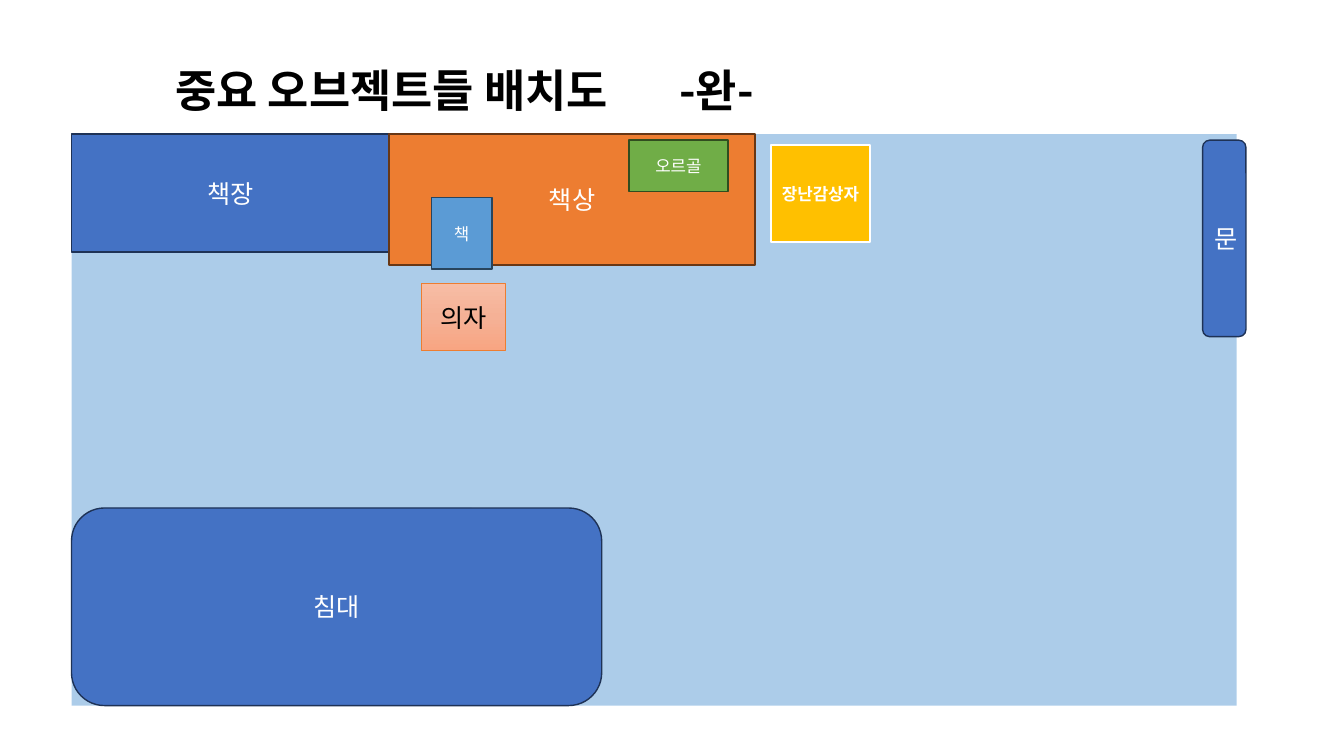
from copy import deepcopy
from dataclasses import dataclass

from lxml.etree import SubElement
from pptx import Presentation
from pptx.dml.color import RGBColor
from pptx.enum.shapes import MSO_SHAPE
from pptx.enum.text import MSO_ANCHOR, PP_ALIGN
from pptx.oxml.ns import qn
from pptx.util import Pt


@dataclass(frozen=True)
class Theme:
    font: str = "Noto Sans CJK KR"
    black: str = "000000"
    white: str = "FFFFFF"
    blue: str = "4472C4"
    navy: str = "1E3256"
    orange: str = "ED7D31"
    brown: str = "683715"
    green: str = "70AD47"
    forest: str = "314C1F"
    sky: str = "5B9BD5"
    slate: str = "28445D"
    gold: str = "FFC000"
    peach: tuple = ((0, "F7BDA5"), (0.5, "F5B196"), (1, "F8A582"))
    title_size: float = 32
    label_size: float = 18
    small_size: float = 12


class FloorPlan:
    """Draws the parts of a room plan on one slide in one theme."""

    def __init__(self, page, theme):
        self.page = page
        self.theme = theme

    def label(self, box, text, size, color, bold=False, **paragraph_format):
        frame = box.text_frame
        frame_format = {"word_wrap": True, "vertical_anchor": MSO_ANCHOR.MIDDLE}
        para = frame.paragraphs[0]
        span = para.add_run()
        span.text = text
        font_format = {"name": self.theme.font, "size": Pt(size), "bold": bold}
        for target, values in (
            (frame, frame_format),
            (para, paragraph_format),
            (span.font, font_format),
        ):
            for name, value in values.items():
                setattr(target, name, value)
        span.font.color.rgb = RGBColor.from_string(color)
        latin = span.font._element.find(qn("a:latin"))
        east_asian = deepcopy(latin)
        east_asian.tag = qn("a:ea")
        latin.addnext(east_asian)
        return para

    def title(self, text, frame, tab):
        box = self.page.shapes.add_textbox(*map(Pt, frame))
        para = self.label(
            box, text, self.theme.title_size, self.theme.black, True, line_spacing=0.9
        )
        tabs = SubElement(para._p.get_or_add_pPr(), qn("a:tabLst"))
        SubElement(tabs, qn("a:tab"), pos=str(Pt(tab)), algn="l")

    def block(self, frame, fill, line=None, weight=1, kind=MSO_SHAPE.RECTANGLE):
        box = self.page.shapes.add_shape(kind, *map(Pt, frame))
        box.shadow.inherit = False
        if isinstance(fill, tuple):
            self.gradient(box, fill)
        else:
            box.fill.solid()
            box.fill.fore_color.rgb = RGBColor.from_string(fill)
        if line:
            box.line.color.rgb = RGBColor.from_string(line)
            box.line.width = Pt(weight)
        else:
            box.line.fill.background()
        return box

    def gradient(self, box, stops):
        box.fill.gradient()
        box.fill.gradient_angle = 270
        stop_list = box._element.spPr.find(qn("a:gradFill")).find(qn("a:gsLst"))
        while len(stop_list) < len(stops):
            stop_list.append(deepcopy(stop_list[0]))
        for stop, (position, color) in zip(box.fill.gradient_stops, stops):
            stop.position = position
            stop.color.rgb = RGBColor.from_string(color)

    def room(self, frame, color, opacity):
        box = self.block(frame, color)
        shade = box._element.spPr.find(qn("a:solidFill"))[0]
        SubElement(shade, qn("a:alpha"), val=str(opacity * 1000))

    def item(self, text, frame, fill, line, size=None, color=None, bold=False, **look):
        box = self.block(frame, fill, line, **look)
        self.label(
            box,
            text,
            size or self.theme.label_size,
            color or self.theme.white,
            bold,
            alignment=PP_ALIGN.CENTER,
        )


def main():
    deck = Presentation()
    deck.slide_width, deck.slide_height = Pt(960), Pt(540)
    theme = Theme()
    plan = FloorPlan(deck.slides.add_slide(deck.slide_layouts[6]), theme)
    left, top, width, height = 51.1, 95.8, 832.3, 408.2
    shelf_width, bed_height = 226.8, 141.1
    desk_left, bed_top = left + shelf_width, top + height - bed_height
    small = theme.small_size
    rounded = MSO_SHAPE.ROUNDED_RECTANGLE

    plan.title("중요 오브젝트들 배치도\t-완-", (118.1, 36, 691.2, 61.2), 360)
    plan.room((left, top, width, height), theme.sky, 50)
    plan.item("책장", (left, top, shelf_width, 84.2), theme.blue, theme.navy)
    plan.item("책상", (desk_left, top, 261.4, 93.6), theme.orange, theme.brown)
    plan.item("오르골", (449.3, 100.1, 70.6, 36.7), theme.green, theme.forest, small)
    plan.item("책", (308.2, 141.1, 43.2, 51.1), theme.sky, theme.slate, small)
    plan.item(
        "장난감상자", (550.8, 103.7, 70.6, 69.1), theme.gold, theme.white, small,
        bold=True, weight=1.5,
    )
    plan.item("문", (859, 100.1, 31, 140.4), theme.blue, theme.navy, kind=rounded)
    plan.item(
        "침대", (left, bed_top, 378.7, bed_height), theme.blue, theme.navy, kind=rounded
    )
    plan.item(
        "의자", (301, 202.3, 59.8, 48.2), theme.peach, theme.orange,
        color=theme.black, weight=0.5,
    )
    deck.save("out.pptx")


if __name__ == "__main__":
    main()
